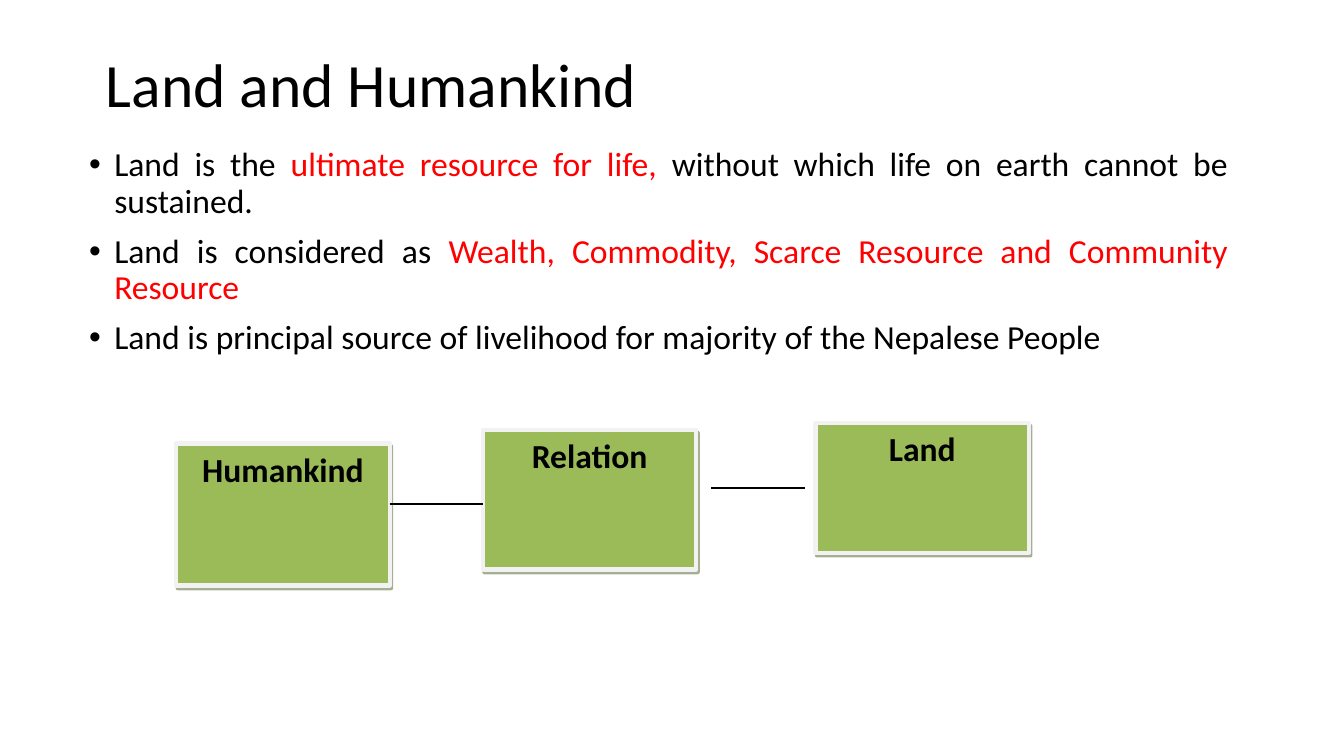
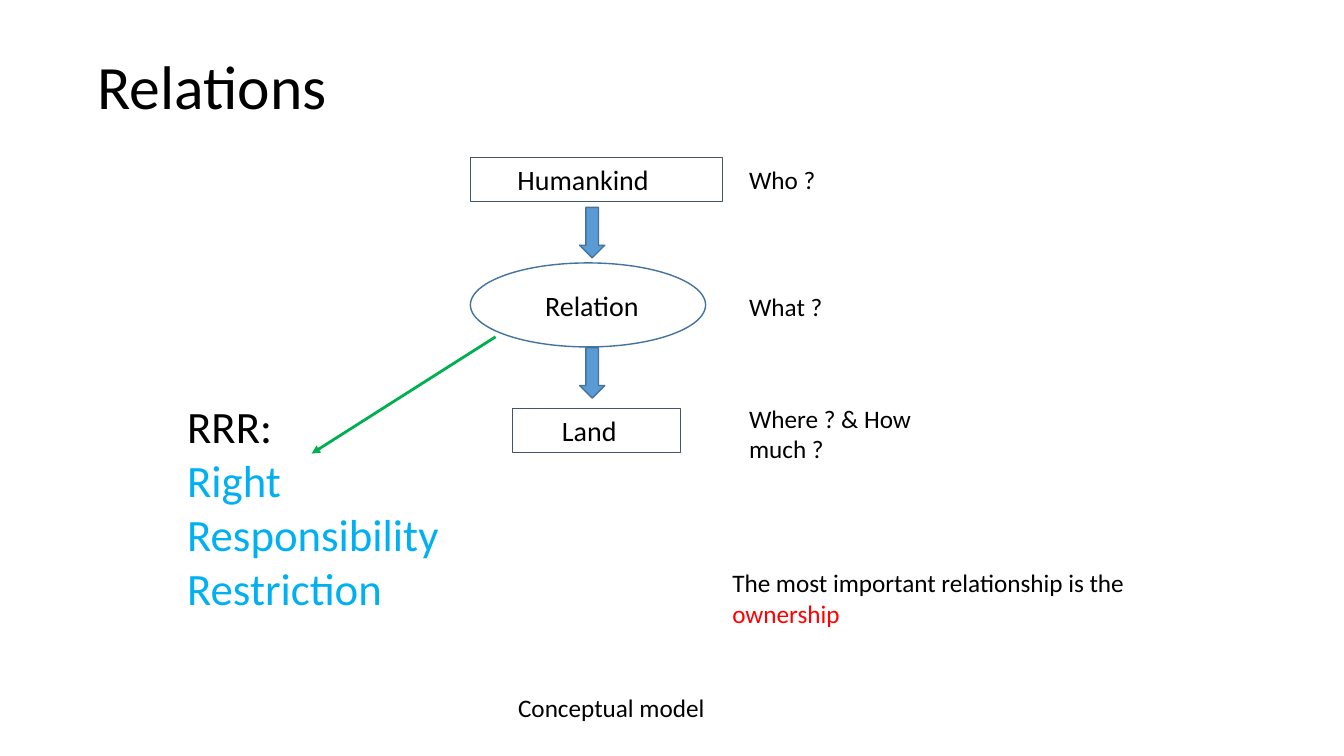
"""Build two slides on the relation between land and humankind."""
from lxml import etree
from pptx import Presentation
from pptx.dml.color import RGBColor
from pptx.enum.shapes import MSO_CONNECTOR, MSO_SHAPE
from pptx.enum.text import MSO_ANCHOR, PP_ALIGN
from pptx.oxml import parse_xml
from pptx.oxml.ns import nsdecls, qn
from pptx.util import Inches, Pt

RECTANGLE, OVAL, DOWN_ARROW = MSO_SHAPE.RECTANGLE, MSO_SHAPE.OVAL, MSO_SHAPE.DOWN_ARROW
STRAIGHT = MSO_CONNECTOR.STRAIGHT
TOP, MIDDLE = MSO_ANCHOR.TOP, MSO_ANCHOR.MIDDLE
LEFT, CENTER, JUSTIFY = PP_ALIGN.LEFT, PP_ALIGN.CENTER, PP_ALIGN.JUSTIFY

FONT = "Calibri"
COLORS = {
    "text": "000000", "accent": "FF0000", "card": "9BBB59", "card edge": "F2F2F2",
    "card shadow": "4E6128", "box edge": "44546A", "arrow": "5B9BD5",
    "arrow edge": "43739E", "pointer": "00B050", "rights": "00B0F0",
}
COLORS = {name: RGBColor.from_string(value) for name, value in COLORS.items()}

deck = Presentation()
deck.slide_width, deck.slide_height = Inches(40 / 3), Inches(7.5)
ROWS = 90
UNIT = deck.slide_height / ROWS


def grid(*cells):
    """Turn grid columns and rows into slide lengths."""
    return [round(cell * UNIT) for cell in cells]


def write(frame, paragraphs, size, align=LEFT, bold=False):
    """Fill a frame with paragraphs, each a list of (text, colour name) runs."""
    frame.word_wrap = True
    for index, runs in enumerate(paragraphs):
        para = frame.add_paragraph() if index else frame.paragraphs[0]
        para.alignment = align
        for text, color in runs:
            span = para.add_run()
            span.text = text
            span.font.name, span.font.size, span.font.bold = FONT, Pt(size), bold
            span.font.color.rgb = COLORS[color]


pages = []
for layout, text, cells in (
    (1, "Land and Humankind", (11.4, 2.9, 114, 15)),
    (5, "Relations", (10.4, 2, 138, 17.4)),
):
    page = deck.slides.add_slide(deck.slide_layouts[layout])
    title = page.shapes.title
    title.left, title.top, title.width, title.height = grid(*cells)
    title.text_frame.vertical_anchor = MIDDLE
    write(title.text_frame, [[(text, "text")]], 44)
    title.text_frame.paragraphs[0].line_spacing = 0.9
    pages.append(page)
land_page, relations_page = pages

body = land_page.placeholders[1]
body.left, body.top, body.width, body.height = grid(9.4, 17, 138, 57.1)
write(body.text_frame, [
    [("Land is the ", "text"), ("ultimate resource for life,", "accent"),
     (" without which life on earth cannot be sustained. ", "text")],
    [("Land is considered as ", "text"),
     ("Wealth, Commodity, Scarce Resource and Community Resource", "accent")],
    [("Land is principal source of livelihood for majority of the Nepalese People", "text")],
], 24, JUSTIFY)
for para in body.text_frame.paragraphs:
    para.line_spacing, para.space_before = 0.9, Pt(10)
    properties = para._p.get_or_add_pPr()
    properties.set("marL", str(Inches(0.25)))
    properties.set("indent", str(-Inches(0.25)))

for text, column, row, rows in (
    ("Humankind", 21, 52.8, 16.9),
    ("Relation", 57.5, 51.2, 16.6),
    ("Land", 97.1, 50.4, 15.4),
):
    card = land_page.shapes.add_shape(RECTANGLE, *grid(column, row, 25.4, rows))
    card.fill.solid()
    card.fill.fore_color.rgb = COLORS["card"]
    card.line.color.rgb, card.line.width = COLORS["card edge"], Pt(3)
    card._element.spPr.append(parse_xml(
        f'<a:effectLst {nsdecls("a")}><a:outerShdw dist="{Pt(2.2)}" dir="{63 * 60000}" '
        f'algn="ctr" rotWithShape="0"><a:srgbClr val="{COLORS["card shadow"]}">'
        '<a:alpha val="50000"/></a:srgbClr></a:outerShdw></a:effectLst>'))
    card.text_frame.vertical_anchor = TOP
    write(card.text_frame, [[(text, "text")]], 24, CENTER, True)
    card.text_frame.paragraphs[0].space_after = Pt(10)

for page, ends, color, width, pointed in (
    (land_page, (46.4, 60, 57.5, 60), "text", 0.75, False),
    (land_page, (84.7, 58.1, 95.8, 58.1), "text", 0.75, False),
    (relations_page, (59, 40.1, 37.1, 54), "pointer", 2, True),
):
    link = page.shapes.add_connector(STRAIGHT, *grid(*ends))
    link.line.color.rgb, link.line.width = COLORS[color], Pt(width)
    if pointed:
        etree.SubElement(link.line._get_or_add_ln(), qn("a:tailEnd"), type="triangle")
    etree.SubElement(link._element.spPr, qn("a:effectLst"))

for kind, text, cells, indent, edge, width in (
    (RECTANGLE, "Humankind", (56, 18.7, 30, 5.3), 5.6, "box edge", 0.75),
    (OVAL, "Relation", (56, 31.3, 28, 10), 4.8, "arrow edge", 1),
    (RECTANGLE, "Land", (61, 48.6, 20, 5.3), 5.9, "box edge", 0.75),
    (DOWN_ARROW, "", (69, 24.7, 3, 6), 0, "arrow edge", 1),
    (DOWN_ARROW, "", (69, 41.4, 3, 6), 0, "arrow edge", 1),
):
    node = relations_page.shapes.add_shape(kind, *grid(*cells))
    node.shadow.inherit = False
    node.line.color.rgb, node.line.width = COLORS[edge], Pt(width)
    if text:
        node.fill.background()
        node.text_frame.margin_left = grid(indent)[0]
        node.text_frame.vertical_anchor = MIDDLE
        write(node.text_frame, [[(text, "text")]], 20)
    else:
        node.fill.solid()
        node.fill.fore_color.rgb = COLORS["arrow"]

for cells, size, paragraphs in (
    ((88, 19, 11, 4.8), 18, [[("Who ?", "text")]]),
    ((88, 34.1, 12, 4.8), 18, [[("What ?", "text")]]),
    ((88, 47.4, 29, 8.5), 18, [[("Where ? & How much ?", "text")]]),
    ((21.1, 46.9, 46, 33.5), 32,
     [[("RRR:", "text")], [("Right", "rights")],
      [("Responsibility", "rights")], [("Restriction", "rights")]]),
    ((60.5, 81.8, 31, 4.8), 18, [[("Conceptual model", "text")]]),
    ((86, 67, 59, 8.5), 18,
     [[("The most important relationship is the ", "text"), ("ownership", "accent")]]),
):
    box = relations_page.shapes.add_textbox(*grid(*cells))
    write(box.text_frame, paragraphs, size)

deck.save("out.pptx")
